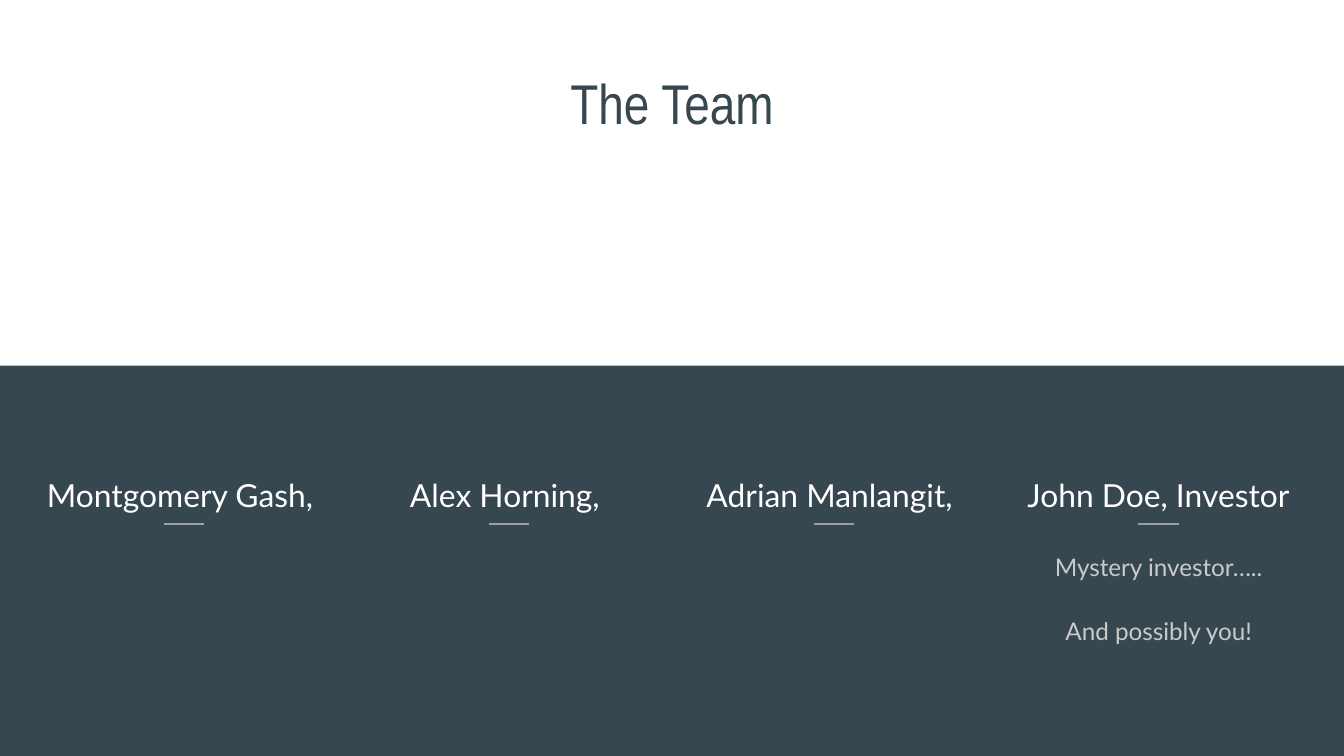
"""Build the team slide: a title band above four evenly spaced members."""
from lxml import etree
from pptx import Presentation
from pptx.dml.color import RGBColor
from pptx.enum.shapes import MSO_CONNECTOR, MSO_SHAPE
from pptx.enum.text import MSO_ANCHOR, PP_ALIGN
from pptx.oxml.ns import qn
from pptx.util import Inches, Pt

CENTER = PP_ALIGN.CENTER
TOP = MSO_ANCHOR.TOP
RECTANGLE = MSO_SHAPE.RECTANGLE
STRAIGHT = MSO_CONNECTOR.STRAIGHT

COLORS = {
    "slate": "37474F",
    "white": "FFFFFF",
    "rule": "9E9E9E",
    "detail": "CACACA",
}
MEMBERS = ["Montgomery Gash, ", "Alex Horning, ", "Adrian Manlangit, ", "John Doe, Investor"]
DETAILS = ["Mystery investor…..", "And possibly you!"]
FIRST_LEFT, LAST_LEFT, COLUMN_WIDTH = 0.18, 7.43, 2.38
PITCH = (LAST_LEFT - FIRST_LEFT) / (len(MEMBERS) - 1)
RULE_OFFSET, RULE_WIDTH, RULE_TOP = 1.04, 0.3, 3.9


def color(name):
    return RGBColor.from_string(COLORS[name])


def add_text(slide, box, lines, font, size, color_name, spacing=1.0, gap=0):
    shape = slide.shapes.add_textbox(*[Inches(length) for length in box])
    frame = shape.text_frame
    frame.word_wrap = True
    frame.vertical_anchor = TOP
    frame.margin_left = frame.margin_right = Inches(0.1)
    frame.margin_top = frame.margin_bottom = Inches(0.1)
    frame.text = "\n".join(lines)
    for index, paragraph in enumerate(frame.paragraphs):
        paragraph.alignment = CENTER
        paragraph.line_spacing = spacing
        paragraph.space_before = Pt(gap if index else 0)
        paragraph.font.name = font
        paragraph.font.size = Pt(size)
        paragraph.font.color.rgb = color(color_name)


presentation = Presentation()
presentation.slide_width = Inches(10)
presentation.slide_height = Inches(10) * 9 // 16
slide = presentation.slides.add_slide(presentation.slide_layouts[6])
slide.background.fill.solid()
slide.background.fill.fore_color.rgb = color("slate")

title_band = slide.shapes.add_shape(RECTANGLE, 0, 0, Inches(10.02), Inches(2.72))
title_band.shadow.inherit = False
title_band.fill.solid()
title_band.fill.fore_color.rgb = color("white")
title_band.line.fill.background()

add_text(slide, (0.34, 0.41, 9.32, 0.8), ["The Team"], "Arial Narrow", 30, "slate")

for index, member in enumerate(MEMBERS):
    left = FIRST_LEFT + index * PITCH
    add_text(slide, (left, 3.4, COLUMN_WIDTH, 0.48), [member], "Lato", 17, "white", 1.15)
    rule_left = left + RULE_OFFSET
    rule = slide.shapes.add_connector(
        STRAIGHT, Inches(rule_left), Inches(RULE_TOP), Inches(rule_left + RULE_WIDTH), Inches(RULE_TOP)
    )
    rule.line.color.rgb = color("rule")
    rule.line.width = Pt(0.75)
    etree.SubElement(rule._element.spPr, qn("a:effectLst"))

add_text(slide, (LAST_LEFT, 3.98, COLUMN_WIDTH, 1.26), DETAILS, "Lato", 13, "detail", 1.15, 16)

presentation.save("out.pptx")
